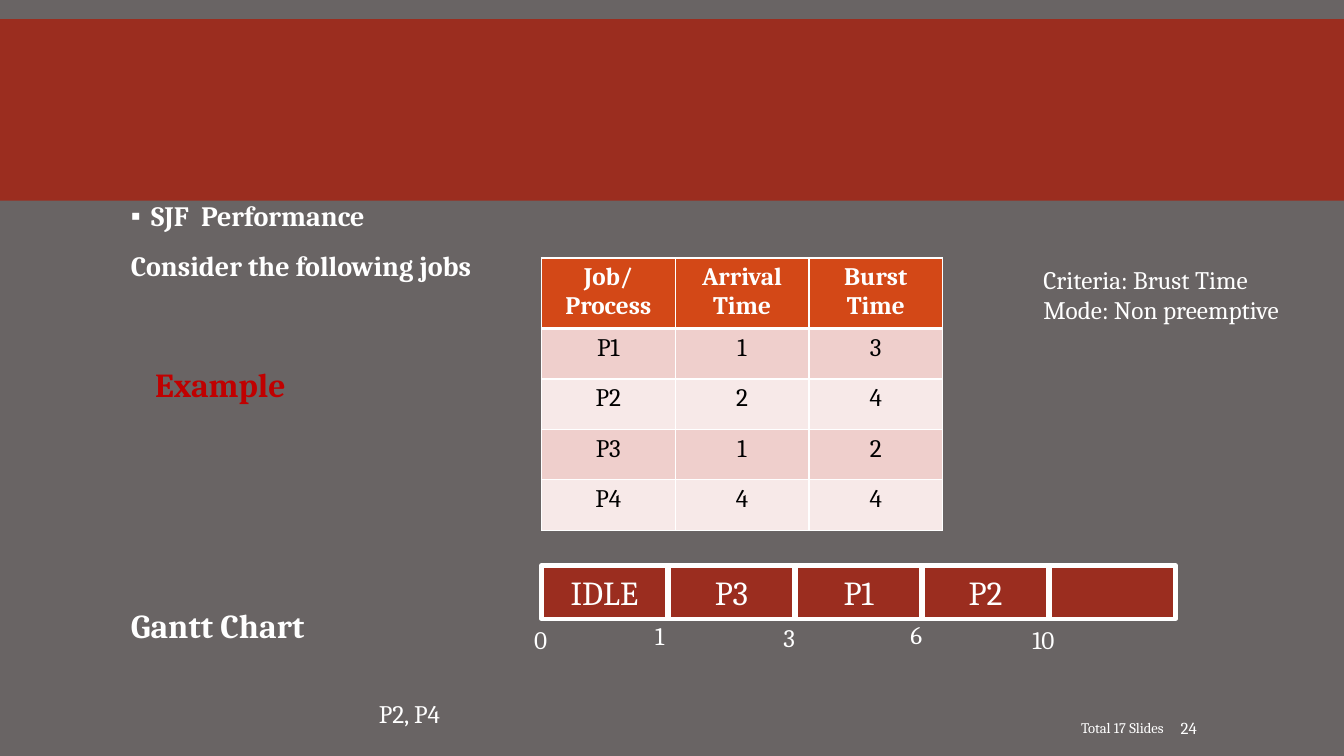
from dataclasses import dataclass
from lxml import etree
from pptx import Presentation
from pptx import util as u
from pptx.dml import color
from pptx.enum import shapes, text
from pptx.oxml import ns


@dataclass(frozen=True)
class Theme:
    font: str = "Cambria"
    backdrop: str = "696464"
    brick: str = "9B2D1F"
    header: str = "D34817"
    bands: tuple = ("EFCFCC", "F7E9E8")
    white: str = "FFFFFF"
    black: str = "000000"
    accent: str = "C00000"
    heading: float = 24
    lead: float = 20
    normal: float = 18
    number: float = 12
    footer: float = 10.5


THEME = Theme()
LEFT, CENTER, RIGHT = text.PP_ALIGN.LEFT, text.PP_ALIGN.CENTER, text.PP_ALIGN.RIGHT


def paint(fill, value):
    fill.solid()
    fill.fore_color.rgb = color.RGBColor.from_string(value)


def add_span(para, words, size, ink=THEME.white, bold=False, align=LEFT):
    para.alignment = align
    span = para.add_run()
    span.text = words
    span.font.name = THEME.font
    span.font.size = u.Pt(size)
    span.font.bold = bold
    span.font.color.rgb = color.RGBColor.from_string(ink)


def add_label(page, box, lines, size, ink=THEME.white, bold=False,
              align=LEFT, wrap=True, middle=False):
    label = page.shapes.add_textbox(*map(u.Inches, box))
    frame = label.text_frame
    frame.word_wrap = wrap
    if middle:
        frame.vertical_anchor = text.MSO_ANCHOR.MIDDLE
    for index, words in enumerate(lines):
        para = frame.add_paragraph() if index else frame.paragraphs[0]
        add_span(para, words, size, ink, bold, align)
    return frame


def add_panel(page, box, outlined=True):
    panel = page.shapes.add_shape(shapes.MSO_SHAPE.RECTANGLE, *map(u.Inches, box))
    panel.shadow.inherit = False
    paint(panel.fill, THEME.brick)
    if outlined:
        paint(panel.line.fill, THEME.white)
        panel.line.width = u.Pt(3)
    else:
        panel.line.fill.background()
    return panel


def add_bullet(para, mark):
    props = para._p.get_or_add_pPr()
    props.set("marL", str(u.Inches(0.2)))
    props.set("indent", str(-u.Inches(0.2)))
    etree.SubElement(props, ns.qn("a:buFont"), typeface="Wingdings 2" if mark == "" else "Arial")
    etree.SubElement(props, ns.qn("a:buChar"), char=mark)


def add_intro(page, box):
    frame = add_label(page, box, ["SJF  Performance", "Consider the following jobs"],
                      THEME.lead, bold=True)
    for para in frame.paragraphs:
        para.line_spacing = 0.9
        para.space_after = u.Pt(2)
    frame.paragraphs[1].space_before = u.Pt(12)
    add_bullet(frame.paragraphs[0], "▪")


def add_borders(cell, bottom):
    props = cell._tc.get_or_add_tcPr()
    for side, points in (("L", 1), ("R", 1), ("T", 1), ("B", bottom)):
        line = etree.SubElement(props, ns.qn(f"a:ln{side}"), w=str(u.Pt(points)))
        fill = etree.SubElement(line, ns.qn("a:solidFill"))
        etree.SubElement(fill, ns.qn("a:srgbClr"), val=THEME.white)


def add_job_table(page, box, rows):
    left, top, width, height = box
    header_height = 0.68
    table = page.shapes.add_table(len(rows), len(rows[0]), *map(u.Inches, box)).table
    for column in table.columns:
        column.width = u.Inches(width / len(rows[0]))
    for index, row in enumerate(rows):
        is_header = index == 0
        row_height = header_height if is_header else (height - header_height) / (len(rows) - 1)
        table.rows[index].height = u.Inches(row_height)
        for cell, words in zip(table.rows[index].cells, row):
            add_borders(cell, 3 if is_header else 1)
            paint(cell.fill, THEME.header if is_header else THEME.bands[(index - 1) % 2])
            add_span(cell.text_frame.paragraphs[0], words, THEME.normal,
                     THEME.white if is_header else THEME.black, is_header, CENTER)


def add_gantt(page, box, jobs, ticks):
    left, top, width, height = box
    step = width / len(jobs)
    for index, job in enumerate(jobs):
        panel = add_panel(page, (left + index * step, top, step - 0.01, height))
        if job:
            frame = panel.text_frame
            frame.vertical_anchor = text.MSO_ANCHOR.MIDDLE
            add_span(frame.paragraphs[0], job, THEME.heading, align=CENTER)
    for words, offset, drop in ticks:
        add_label(page, (left + offset, top + height + drop, 0.62, 0.4), [words], THEME.normal)


def add_footer(page, box):
    left, top, width, height = box
    number_width = 1.03
    add_label(page, (left, top, width - number_width - 0.02, height),
              ["Total 17 Slides"], THEME.footer, align=RIGHT, middle=True)
    frame = add_label(page, (left + width - number_width, top, number_width, height),
                      ["24"], THEME.number, middle=True)
    frame.margin_left = u.Inches(0.05)


def build_example_slide(page):
    paint(page.background.fill, THEME.backdrop)
    add_panel(page, (0, 0.19, 13.33, 1.8), outlined=False)
    add_intro(page, (1.2, 1.96, 4.1, 0.9))
    add_label(page, (1.44, 3.56, 2.98, 0.5), ["Example"], THEME.heading, THEME.accent, True)
    add_label(page, (1.2, 5.95, 3, 0.5), ["Gantt Chart"], THEME.heading, bold=True)
    add_job_table(page, (5.37, 2.56, 3.98, 2.68), [
        ("Job/Process", "Arrival Time", "Burst Time"),
        ("P1", "1", "3"),
        ("P2", "2", "4"),
        ("P3", "1", "2"),
        ("P4", "4", "4"),
    ])
    add_gantt(page, (5.37, 5.61, 6.3, 0.53), ["IDLE", "P3", "P1", "P2", ""], [
        ("0", -0.17, 0),
        ("1", 1.03, -0.04),
        ("3", 2.3, -0.02),
        ("6", 3.56, -0.05),
        ("10", 4.77, 0),
    ])
    add_label(page, (10.25, 2.57, 2.76, 0.71),
              ["Criteria: Brust Time", "Mode: Non preemptive"], THEME.normal, wrap=False)
    add_label(page, (3.66, 6.88, 0.91, 0.4), ["P2, P4"], THEME.normal, wrap=False)
    add_footer(page, (6.12, 7.02, 6.57, 0.4))


def main():
    deck = Presentation()
    deck.slide_width = u.Inches(13.33)
    deck.slide_height = u.Inches(7.5)
    build_example_slide(deck.slides.add_slide(deck.slide_layouts[6]))
    deck.save("out.pptx")


if __name__ == "__main__":
    main()
